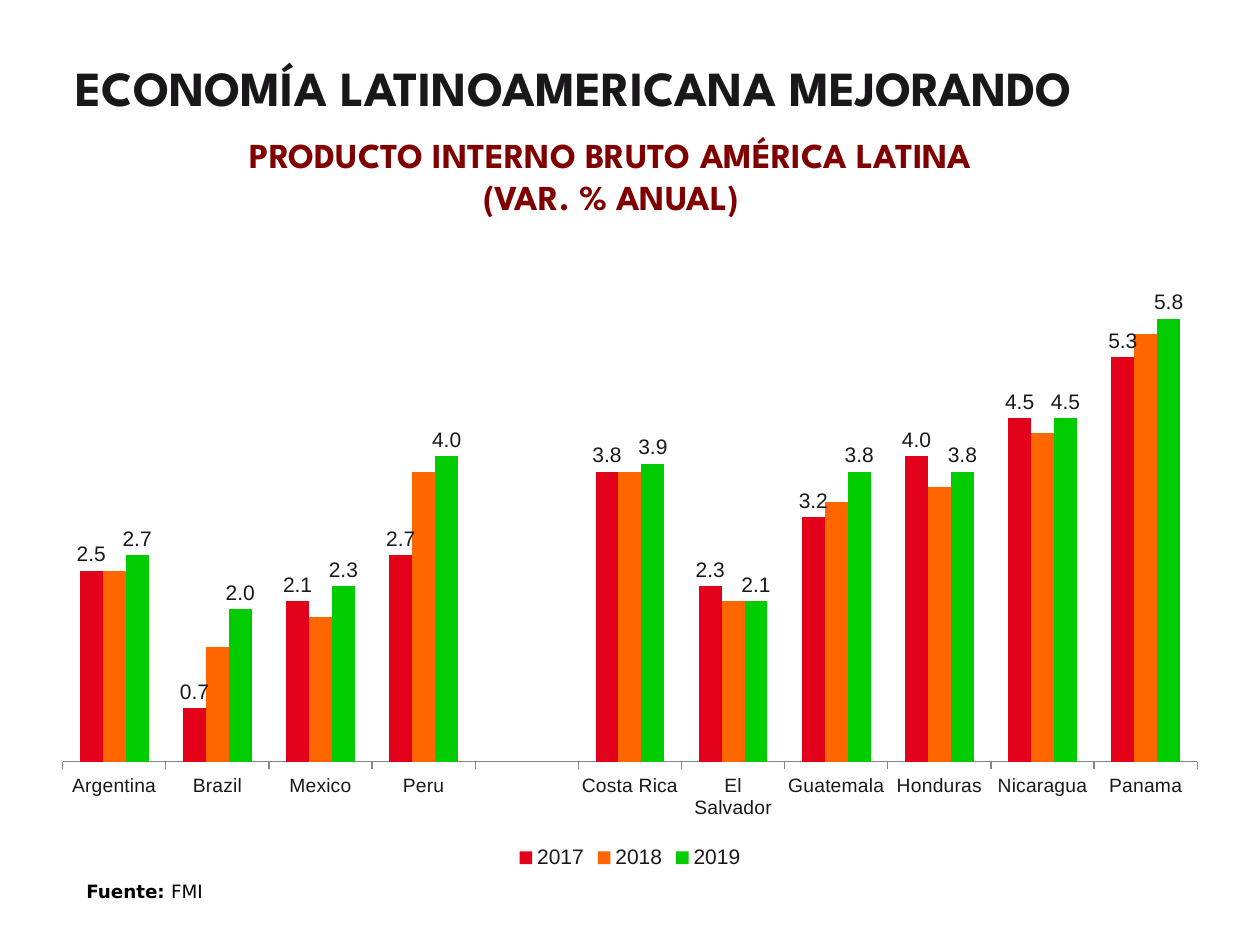
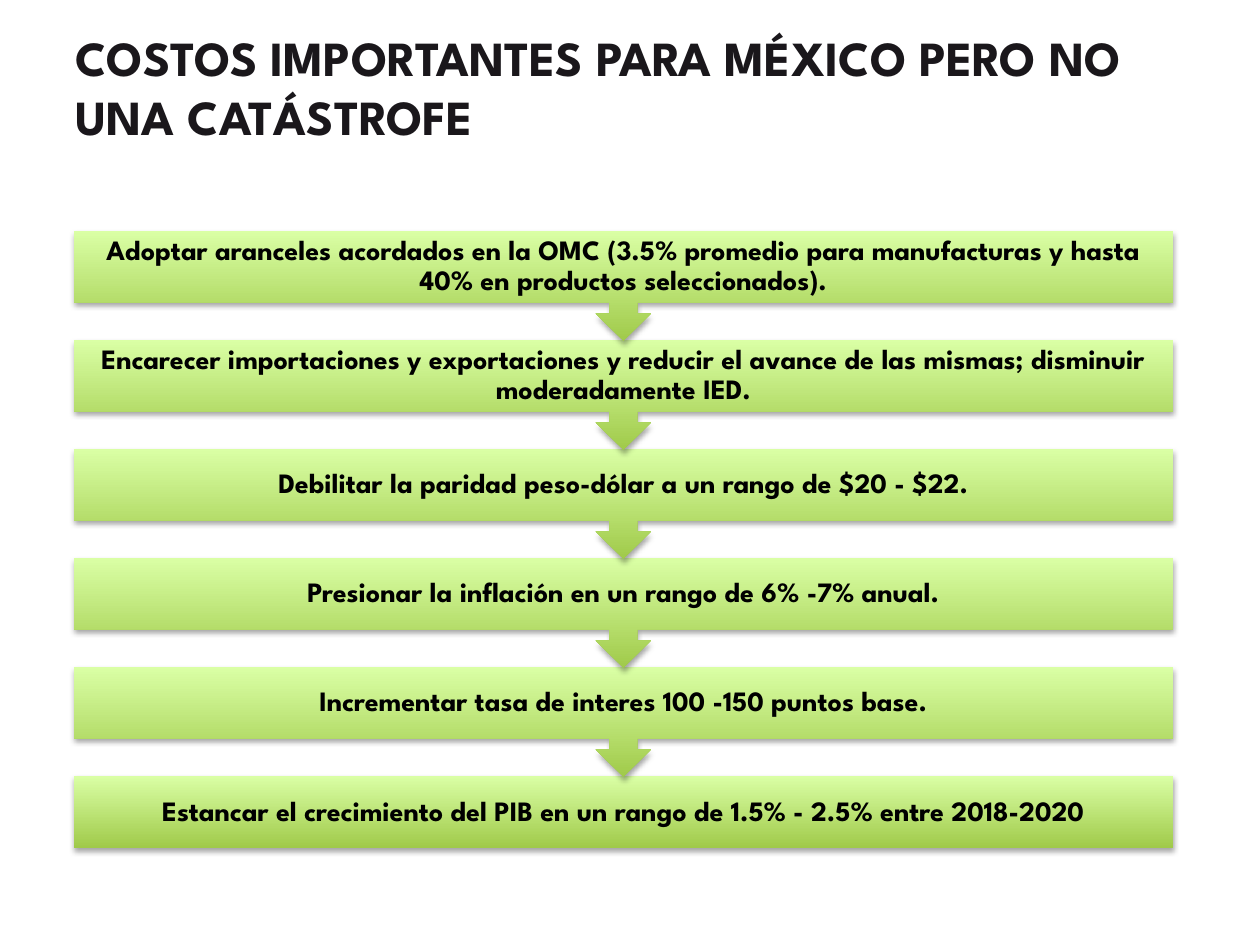
from lxml import etree
from pptx import Presentation
from pptx.chart.data import CategoryChartData
from pptx.dml.color import RGBColor
from pptx.enum.chart import XL_CHART_TYPE, XL_LABEL_POSITION, XL_LEGEND_POSITION, XL_TICK_MARK
from pptx.enum.shapes import MSO_SHAPE
from pptx.enum.text import MSO_ANCHOR, PP_ALIGN
from pptx.oxml import parse_xml
from pptx.oxml.ns import nsdecls, qn
from pptx.util import Pt

EMU_PER_PX = 914400 / 126
BLANK_LAYOUT = 6
COLUMNS = XL_CHART_TYPE.COLUMN_CLUSTERED
LABELS_ABOVE = XL_LABEL_POSITION.OUTSIDE_END
LEGEND_BELOW = XL_LEGEND_POSITION.BOTTOM
TICK_OUTSIDE, TICK_NONE = XL_TICK_MARK.OUTSIDE, XL_TICK_MARK.NONE
BOX, BOX_WITH_ARROW = MSO_SHAPE.RECTANGLE, MSO_SHAPE.DOWN_ARROW_CALLOUT
MIDDLE = MSO_ANCHOR.MIDDLE
LEFT, CENTER = PP_ALIGN.LEFT, PP_ALIGN.CENTER

HEADING_FONT, CHART_FONT, SOURCE_FONT = "League Spartan", "Arial", "DejaVu Sans"
COLORS = {
    "ink": "1A171B",
    "black": "000000",
    "subtitle": "800000",
    "axis": "878787",
    "2017": "E2001A",
    "2018": "FF6600",
    "2019": "00CC00",
    "step_dark": "A0CA4A",
    "step_light": "DAFFA5",
}

COUNTRIES = ["Argentina", "Brazil", "Mexico", "Peru", "", "Costa Rica",
             "El Salvador", "Guatemala", "Honduras", "Nicaragua", "Panama"]
GROWTH = {
    "2017": [2.5, 0.7, 2.1, 2.7, None, 3.8, 2.3, 3.2, 4.0, 4.5, 5.3],
    "2018": [2.5, 1.5, 1.9, 3.8, None, 3.8, 2.1, 3.4, 3.6, 4.3, 5.6],
    "2019": [2.7, 2.0, 2.3, 4.0, None, 3.9, 2.1, 3.8, 3.8, 4.5, 5.8],
}
LABELLED_YEARS = ("2017", "2019")

COSTS = [
    "Adoptar aranceles acordados en la OMC (3.5% promedio para manufacturas y hasta "
    "40% en productos seleccionados).",
    "Encarecer importaciones y exportaciones y reducir el avance de las mismas; "
    "disminuir moderadamente IED.",
    "Debilitar la paridad peso-dólar a un rango de $20 - $22.",
    "Presionar la inflación en un rango de 6% -7% anual.",
    "Incrementar tasa de interes 100 -150 puntos base.",
    "Estancar el crecimiento del PIB en un rango de 1.5% - 2.5% entre 2018-2020",
]
STEP_LEFT, STEP_TOP, STEP_WIDTH = 74, 231, 1099
STEP_PITCH, ARROW_HEIGHT, BOX_HEIGHT = 109, 110, 72
STEP_INSET = 15


def px(*lengths):
    return [round(length * EMU_PER_PX) for length in lengths]


def color(name):
    return RGBColor.from_string(COLORS[name])


def set_font(font, name, size, color_name, bold=False):
    font.name = name
    font.size = Pt(size)
    font.bold = bold
    font.color.rgb = color(color_name)


def add_text(slide, box, text, font_name, size, color_name, align=LEFT, wrap=True):
    """Add a bold, vertically centred text box and return its paragraph."""
    text_frame = slide.shapes.add_textbox(*px(*box)).text_frame
    text_frame.word_wrap = wrap
    text_frame.vertical_anchor = MIDDLE
    text_frame.text = text
    paragraph = text_frame.paragraphs[0]
    paragraph.alignment = align
    for run in paragraph.runs:
        set_font(run.font, font_name, size, color_name, bold=True)
    return paragraph


def add_title(slide, text):
    add_text(slide, (63, 38, 1134, 97), text, HEADING_FONT, 28, "ink")


def add_source(slide, label, source):
    paragraph = add_text(slide, (74, 874, 145, 35), label, SOURCE_FONT, 10.5, "black", wrap=False)
    run = paragraph.add_run()
    run.text = source
    set_font(run.font, SOURCE_FONT, 10.5, "black")


def set_plot_layout(chart, **fractions):
    """Fix the inner plot area, given as fractions of the chart."""
    plot_area = chart._chartSpace.chart.plotArea
    for old_layout in plot_area.findall(qn("c:layout")):
        plot_area.remove(old_layout)
    layout = etree.Element(qn("c:layout"))
    manual = etree.SubElement(layout, qn("c:manualLayout"))
    settings = {"layoutTarget": "inner", "xMode": "edge", "yMode": "edge", **fractions}
    for tag, value in settings.items():
        etree.SubElement(manual, qn(f"c:{tag}")).set("val", str(value))
    plot_area.insert(0, layout)


def style_axes(chart):
    category_axis = chart.category_axis
    category_axis.major_tick_mark = TICK_OUTSIDE
    category_axis.format.line.color.rgb = color("axis")
    set_font(category_axis.tick_labels.font, CHART_FONT, 11, "ink")
    value_axis = chart.value_axis
    value_axis.minimum_scale, value_axis.maximum_scale = 0, 7
    value_axis.has_major_gridlines = False
    value_axis.major_tick_mark = TICK_NONE
    value_axis.visible = False


def style_series(series):
    series.format.fill.solid()
    series.format.fill.fore_color.rgb = color(series.name)
    series.invert_if_negative = False
    if series.name in LABELLED_YEARS:
        labels = series.data_labels
        labels.show_value = True
        labels.number_format = "0.0"
        labels.number_format_is_linked = False
        labels.position = LABELS_ABOVE
        set_font(labels.font, CHART_FONT, 12, "ink")


def add_growth_chart(slide):
    data = CategoryChartData(number_format="0.0")
    data.categories = COUNTRIES
    for year, values in GROWTH.items():
        data.add_series(year, values)
    chart = slide.shapes.add_chart(COLUMNS, *px(39, 214, 1182, 660), data).chart
    set_font(chart.font, CHART_FONT, 12, "ink")
    chart.has_title = False
    chart.has_legend = True
    chart.legend.position = LEGEND_BELOW
    chart.legend.include_in_layout = False
    plot = chart.plots[0]
    plot.gap_width = 150
    plot.overlap = 0
    plot.vary_by_categories = False
    for series in plot.series:
        style_series(series)
    style_axes(chart)
    set_plot_layout(chart, x=0.02, y=0.02, w=0.96, h=0.81)


def add_soft_shadow(shape):
    shape._element.spPr.append(parse_xml(
        f'<a:effectLst {nsdecls("a")}>'
        f'<a:outerShdw blurRad="{Pt(3.1)}" dist="{Pt(1.8)}" dir="5400000" rotWithShape="0">'
        f'<a:srgbClr val="{COLORS["black"]}"><a:alpha val="35000"/></a:srgbClr>'
        '</a:outerShdw></a:effectLst>'))


def add_step(slide, shape_type, top, height, text):
    shape = slide.shapes.add_shape(shape_type, *px(STEP_LEFT, top, STEP_WIDTH, height))
    shape.fill.gradient()
    shape.fill.gradient_angle = 90
    for stop, name in zip(shape.fill.gradient_stops, ("step_dark", "step_light")):
        stop.color.rgb = color(name)
    shape.line.fill.background()
    add_soft_shadow(shape)
    text_frame = shape.text_frame
    text_frame.word_wrap = True
    text_frame.vertical_anchor = MIDDLE
    for side in ("left", "top", "right", "bottom"):
        setattr(text_frame, f"margin_{side}", px(STEP_INSET)[0])
    text_frame.text = text
    paragraph = text_frame.paragraphs[0]
    paragraph.alignment = CENTER
    paragraph.line_spacing = 0.9
    set_font(paragraph.runs[0].font, HEADING_FONT, 16, "black", bold=True)


def add_cost_chain(slide):
    """Stack the steps from the last up, so each arrow overlaps the box below it."""
    last = len(COSTS) - 1
    for index in range(last, -1, -1):
        shape_type, height = (BOX, BOX_HEIGHT) if index == last else (BOX_WITH_ARROW, ARROW_HEIGHT)
        add_step(slide, shape_type, STEP_TOP + index * STEP_PITCH, height, COSTS[index])


def main():
    presentation = Presentation()
    presentation.slide_width, presentation.slide_height = px(1260, 945)
    blank = presentation.slide_layouts[BLANK_LAYOUT]

    growth_slide = presentation.slides.add_slide(blank)
    add_title(growth_slide, "ECONOMÍA LATINOAMERICANA MEJORANDO")
    add_growth_chart(growth_slide)
    add_text(growth_slide, (44, 135, 1134, 81),
             "PRODUCTO INTERNO BRUTO AMÉRICA LATINA\v(VAR. % ANUAL)",
             HEADING_FONT, 20, "subtitle", CENTER)
    add_source(growth_slide, "Fuente: ", "FMI")

    costs_slide = presentation.slides.add_slide(blank)
    add_title(costs_slide, "COSTOS IMPORTANTES PARA MÉXICO PERO NO UNA CATÁSTROFE")
    add_cost_chain(costs_slide)

    presentation.save("out.pptx")


if __name__ == "__main__":
    main()
